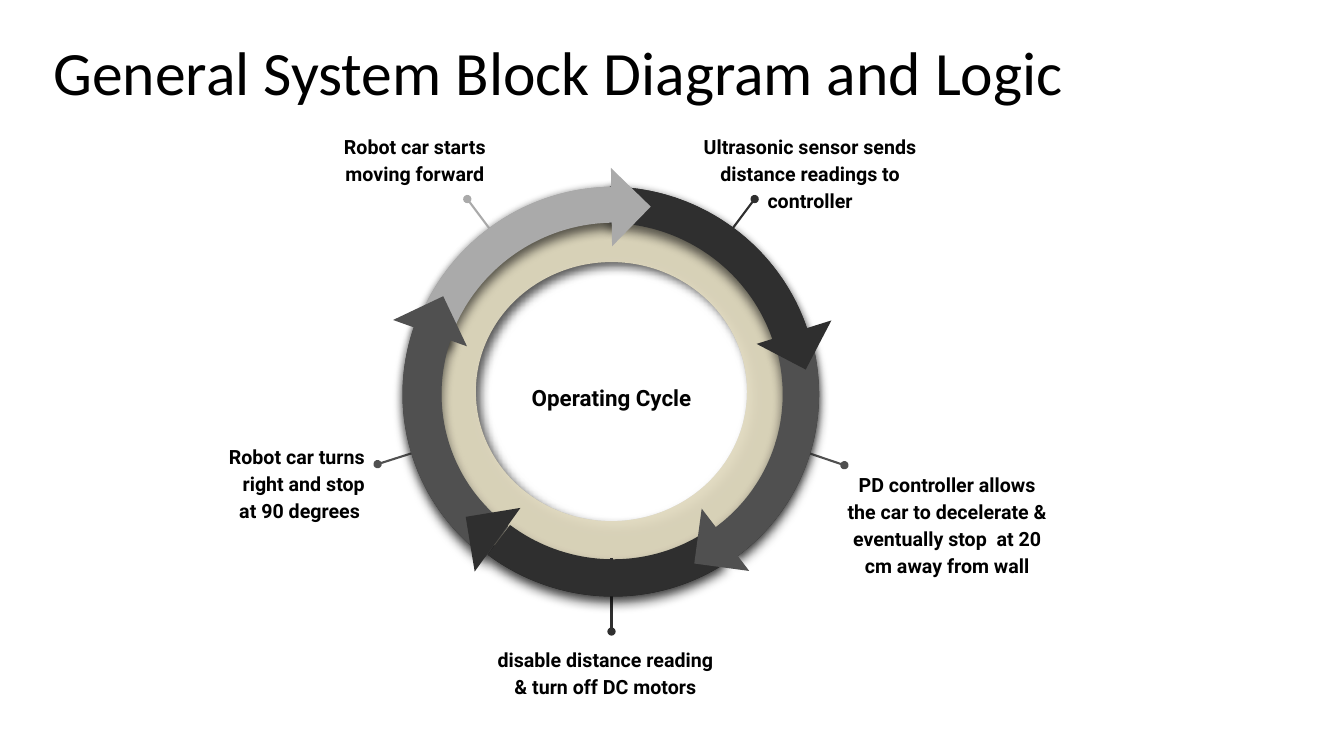
from lxml import etree
from pptx import Presentation
from pptx import util as u
from pptx.dml.color import RGBColor
from pptx.enum import shapes, text
from pptx.oxml.ns import qn

COLORS = {"black": "000000", "center": "020202", "dark": "2F2F2F",
          "mid": "505050", "light": "AAAAAA", "sand": "E2DBC0"}
ALIGN = text.PP_ALIGN
ANCHOR = text.MSO_ANCHOR
SHAPE = shapes.MSO_SHAPE

# Shadow: opacity %, blur pt, distance pt, direction in degrees
SOFT = (40, 5.6, 0.8, 90)
DEEP = (60, 8, 5, 90)
INNER = (70, 7, 5, 45)

# Arcs: color, horizontal offset, rotation, flipped, adjustments, outlined
ARCS = [
    ("dark", 0, 29.3, False, (144.144, 189.986, 0.089), False),
    ("mid", 0.01, 209.3, True, (201.788, 26.239, 0.089), False),
    ("light", 0, 330.7, True, (143.341, 188.547, 0.088), False),
    ("mid", -0.02, 150.7, False, (201.845, 30.073, 0.093), True),
    ("dark", -0.01, 209.3, True, (157.386, 200.081, 0.091), False),
]
# Arrowheads: color, offset from the center, rotation
HEADS = [
    ("dark", 1.81, -0.59, 297.6),
    ("mid", -1.8, -0.58, 154.6),
    ("mid", 1.13, 1.47, 7.7),
    ("dark", -1.13, 1.47, 80.7),
    ("light", 0, -1.83, 224.2),
]
# Leaders: color, dot and inner end as offsets from the center
LEADERS = [
    ("dark", (1.42, -1.91), (1, -1.35)),
    ("light", (-1.43, -1.91), (-1.01, -1.35)),
    ("mid", (2.31, 0.73), (1.63, 0.5)),
    ("mid", (-2.32, 0.72), (-1.63, 0.5)),
    ("dark", (0, 2.38), (0, 1.65)),
]
# Labels: words, offset from the center, size, format
LABELS = [
    ("Ultrasonic sensor sends distance readings to controller",
     (1.97, -2.18), (2.48, 1), {"anchor": ANCHOR.MIDDLE}),
    ("PD controller allows the car to decelerate & eventually stop  at 20 cm away from wall",
     (3.33, 1.14), (2.33, 1), {}),
    ("disable distance reading & turn off DC motors",
     (-0.06, 2.88), (2.48, 1), {}),
    ("Robot car turns right and stop at 90 degrees ",
     (-3.16, 0.86), (1.69, 1), {"align": ALIGN.RIGHT}),
    ("Robot car starts moving forward",
     (-1.95, -2.31), (2.11, 0.76), {"anchor": ANCHOR.MIDDLE}),
    ("Operating Cycle",
     (0, 0.04), (2.22, 1.2), {"anchor": ANCHOR.MIDDLE, "size": 16, "color": "center"}),
]


def rgb(name):
    return RGBColor.from_string(COLORS[name])


def centered(cx, cy, w, h):
    return [u.Inches(v) for v in (cx - w / 2, cy - h / 2, w, h)]


def add_alpha(color_el, percent):
    etree.SubElement(color_el, qn("a:alpha")).set("val", str(percent * 1000))


def write(sp, words, size=14, font="Roboto", color="black", bold=True,
          align=ALIGN.CENTER, anchor=ANCHOR.TOP, spacing=1.15, inset=(0.13, 0.13)):
    tf = sp.text_frame
    tf.word_wrap = True
    tf.auto_size = text.MSO_AUTO_SIZE.NONE
    tf.vertical_anchor = anchor
    tf.margin_left = tf.margin_right = u.Inches(inset[0])
    tf.margin_top = tf.margin_bottom = u.Inches(inset[1])
    p = tf.paragraphs[0]
    p.alignment, p.line_spacing = align, spacing
    r = p.add_run()
    r.text = words
    r.font.name, r.font.size, r.font.bold = font, u.Pt(size), bold
    r.font.color.rgb = rgb(color)


def add_part(parts, kind, box, color, alpha=None, shadow=None, rotation=0,
             flipped=False, adjust=(), outlined=False):
    sp = parts.add_shape(kind, *box)
    sp.rotation = rotation
    for i, value in enumerate(adjust):
        sp.adjustments[i] = value
    props = sp._element.spPr
    if flipped:
        props.find(qn("a:xfrm")).set("flipH", "1")
    sp.fill.solid()
    sp.fill.fore_color.rgb = rgb(color)
    if alpha:
        add_alpha(props.find(qn("a:solidFill"))[0], alpha)
    if outlined:
        sp.line.color.rgb = rgb(color)
        sp.line.width = u.Pt(0.75)
    else:
        sp.line.fill.background()
    sp.shadow.inherit = False
    if shadow:
        opacity, blur, dist, angle = shadow
        outer = etree.SubElement(
            props.find(qn("a:effectLst")), qn("a:outerShdw"),
            blurRad=str(int(u.Pt(blur))), dist=str(int(u.Pt(dist))),
            dir=str(angle * 60000), algn="bl", rotWithShape="0")
        black = etree.SubElement(outer, qn("a:srgbClr"), val=COLORS["black"])
        add_alpha(black, opacity)


def add_leader(parts, start, end, color):
    line = parts.add_connector(shapes.MSO_CONNECTOR.STRAIGHT,
                               *[u.Inches(v) for v in (*start, *end)])
    line.line.color.rgb = rgb(color)
    line.line.width = u.Pt(1.5)
    etree.SubElement(line.line._get_or_add_ln(), qn("a:headEnd"), type="oval")
    etree.SubElement(line._element.spPr, qn("a:effectLst"))


def add_title(slide, left, top, width, height):
    title = slide.shapes.title
    title.left, title.top, title.width, title.height = [
        u.Inches(v) for v in (left, top, width, height)]
    write(title, "General System Block Diagram and Logic", size=44, font="Calibri",
          bold=False, align=ALIGN.LEFT, anchor=ANCHOR.MIDDLE, spacing=0.9,
          inset=(0.1, 0.05))


def add_cycle(slide, left, top, width, height):
    parts = slide.shapes.add_group_shape().shapes
    cx, cy = left + width / 2, top + height / 2
    ring = centered(cx, cy, width - 0.2, height - 0.26)

    def add_arcs(shadow):
        for color, dx, rotation, flipped, adjust, outlined in ARCS:
            add_part(parts, SHAPE.BLOCK_ARC, centered(cx + dx, cy, width, height),
                     color, shadow=shadow, rotation=rotation, flipped=flipped,
                     adjust=adjust, outlined=outlined)

    # Inner ring between two layers of arcs
    add_part(parts, SHAPE.DONUT, ring, "black", alpha=11, adjust=[0.161])
    add_arcs(SOFT)
    add_part(parts, SHAPE.DONUT, ring, "sand", alpha=93, shadow=INNER, adjust=[0.161])

    # Leaders run under the upper arcs
    for color, (x1, y1), (x2, y2) in LEADERS:
        add_leader(parts, (cx + x1, cy + y1), (cx + x2, cy + y2), color)
    add_arcs(DEEP)

    # Arrowheads
    for color, dx, dy, rotation in HEADS:
        add_part(parts, SHAPE.RIGHT_TRIANGLE, centered(cx + dx, cy + dy, 0.55, 0.55),
                 color, rotation=rotation)

    # Labels
    for words, (dx, dy), size, style in LABELS:
        write(parts.add_textbox(*centered(cx + dx, cy + dy, *size)), words, **style)


def main():
    prs = Presentation()
    prs.slide_width, prs.slide_height = u.Inches(13.33), u.Inches(7.5)
    slide = prs.slides.add_slide(prs.slide_layouts[5])
    add_title(slide, 0.43, 0.19, 12.5, 1.11)
    add_cycle(slide, 4.01, 1.86, 4.11, 4.05)
    prs.save("out.pptx")


if __name__ == "__main__":
    main()
